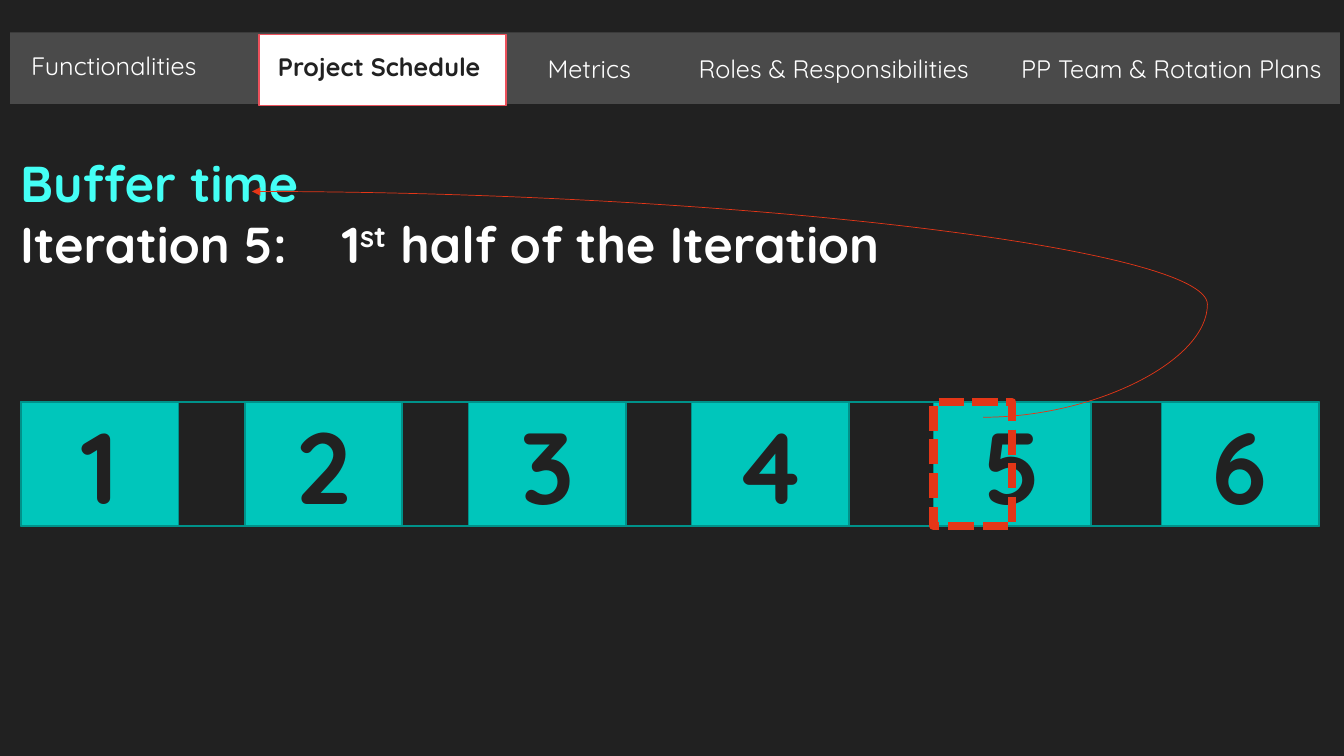
import pptx
import pptx.util
import pptx.dml.color
import pptx.enum.dml
import pptx.enum.shapes
import pptx.enum.text
import pptx.oxml
import pptx.oxml.ns
import lxml.etree

FONT = "Quicksand"
COLORS = dict(back="212121", bar="4A4A4A", white="FFFFFF", active_edge="ED515C",
              cyan="44FFF5", teal="00C6BB", teal_edge="00928A", red="E43617")
LEFT, CENTER = pptx.enum.text.PP_ALIGN.LEFT, pptx.enum.text.PP_ALIGN.CENTER
TABS = [
    ("Functionalities", 0.21, 0.45, 1.97, LEFT, "white"),
    ("Project Schedule", 2.3, 0.46, 2.92, CENTER, "back"),
    ("Metrics", 4.86, 0.48, 1.97, CENTER, "white"),
    ("Roles & Responsibilities", 6.83, 0.48, 2.92, LEFT, "white"),
    ("PP Team & Rotation Plans", 10.03, 0.48, 3.3, LEFT, "white"),
]
ACTIVE_TAB = "Project Schedule"
HEADING = "Buffer time"
DETAIL = [("Iteration 5:\t1", 0), ("st", 30000), (" half of the Iteration", 0)]
ITERATION_LEFTS = [0.21, 2.43, 4.65, 6.86, 9.26, 11.52]
ROW_LEFT, ROW_TOP, ROW_W, ROW_H, BOX_W = 0.21, 3.99, 12.88, 1.23, 1.56
BUFFER_ITERATION = 5

inch = pptx.util.Inches


def color(name):
    return pptx.dml.color.RGBColor.from_string(COLORS[name])


def set_line(sp, name, width):
    sp.line.color.rgb = color(name)
    sp.line.width = pptx.util.Pt(width)


def add_rect(shapes, box, fill=None, line=None, width=1):
    sp = shapes.add_shape(pptx.enum.shapes.MSO_SHAPE.RECTANGLE, *map(inch, box))
    sp.shadow.inherit = False
    if fill:
        sp.fill.solid()
        sp.fill.fore_color.rgb = color(fill)
    else:
        sp.fill.background()
    if line:
        set_line(sp, line, width)
    else:
        sp.line.fill.background()
    return sp


def style(p, size, name, bold=False, align=LEFT):
    p.alignment = align
    p.font.name, p.font.size, p.font.bold = FONT, pptx.util.Pt(size), bold
    p.font.color.rgb = color(name)


prs = pptx.Presentation()
prs.slide_width, prs.slide_height = inch(13.33), inch(7.5)
s = prs.slides.add_slide(prs.slide_layouts[5])
s.background.fill.solid()
s.background.fill.fore_color.rgb = color("back")

add_rect(s.shapes, (0.1, 0.32, 13.19, 0.71), "bar")
add_rect(s.shapes, (2.57, 0.34, 2.45, 0.71), "white", "active_edge")
for text, x, y, w, align, name in TABS:
    tf = s.shapes.add_textbox(inch(x), inch(y), inch(w), inch(0.4)).text_frame
    tf.word_wrap = True
    p = tf.paragraphs[0]
    p.text = text
    style(p, 18, name, text == ACTIVE_TAB, align)

title = s.shapes.title
title.left, title.top, title.width, title.height = map(inch, (0.1, 1.46, 13.2, 1.31))
tf = title.text_frame
tf.auto_size = pptx.enum.text.MSO_AUTO_SIZE.NONE
tf.vertical_anchor = pptx.enum.text.MSO_ANCHOR.TOP
tf.text = HEADING
style(tf.paragraphs[0], 36, "cyan", True)
p = tf.add_paragraph()
style(p, 36, "white", True)
for text, baseline in DETAIL:
    r = p.add_run()
    r.text = text
    if baseline:
        r.font._element.set("baseline", str(baseline))
stops = pptx.oxml.parse_xml(
    f'<a:tabLst {pptx.oxml.ns.nsdecls("a")}><a:tab pos="{inch(3.19)}" algn="l"/></a:tabLst>')
p._p.pPr.insert(0, stops)

group = s.shapes.add_group_shape()
for number, x in enumerate(ITERATION_LEFTS, 1):
    sp = add_rect(group.shapes, (x, ROW_TOP, BOX_W, ROW_H), "teal", "teal_edge")
    sp.text_frame.vertical_anchor = pptx.enum.text.MSO_ANCHOR.MIDDLE
    p = sp.text_frame.paragraphs[0]
    p.text = str(number)
    style(p, 72, "back", True, CENTER)
add_rect(group.shapes, (ROW_LEFT, ROW_TOP, ROW_W, ROW_H), line="teal_edge")

buffer_left = ITERATION_LEFTS[BUFFER_ITERATION - 1]
half = add_rect(s.shapes, (buffer_left, ROW_TOP, BOX_W / 2, ROW_H), line="red", width=6)
half.line.dash_style = pptx.enum.dml.MSO_LINE.SQUARE_DOT
half.line._ln.find(pptx.oxml.ns.qn("a:prstDash")).set("val", "sysDash")

arrow = s.shapes.add_connector(pptx.enum.shapes.MSO_CONNECTOR.CURVE,
                               *map(inch, (9.75, 4.14, 2.5, 1.9)))
set_line(arrow, "red", 0.5)
qn = pptx.oxml.ns.qn
lxml.etree.SubElement(arrow.line._ln, qn("a:tailEnd"), type="triangle")
lxml.etree.SubElement(arrow._element.spPr, qn("a:effectLst"))
bends = arrow._element.spPr.find(qn("a:prstGeom")).find(qn("a:avLst"))
lxml.etree.SubElement(bends, qn("a:gd"), name="adj1", fmla="val -30700")

prs.save("out.pptx")
